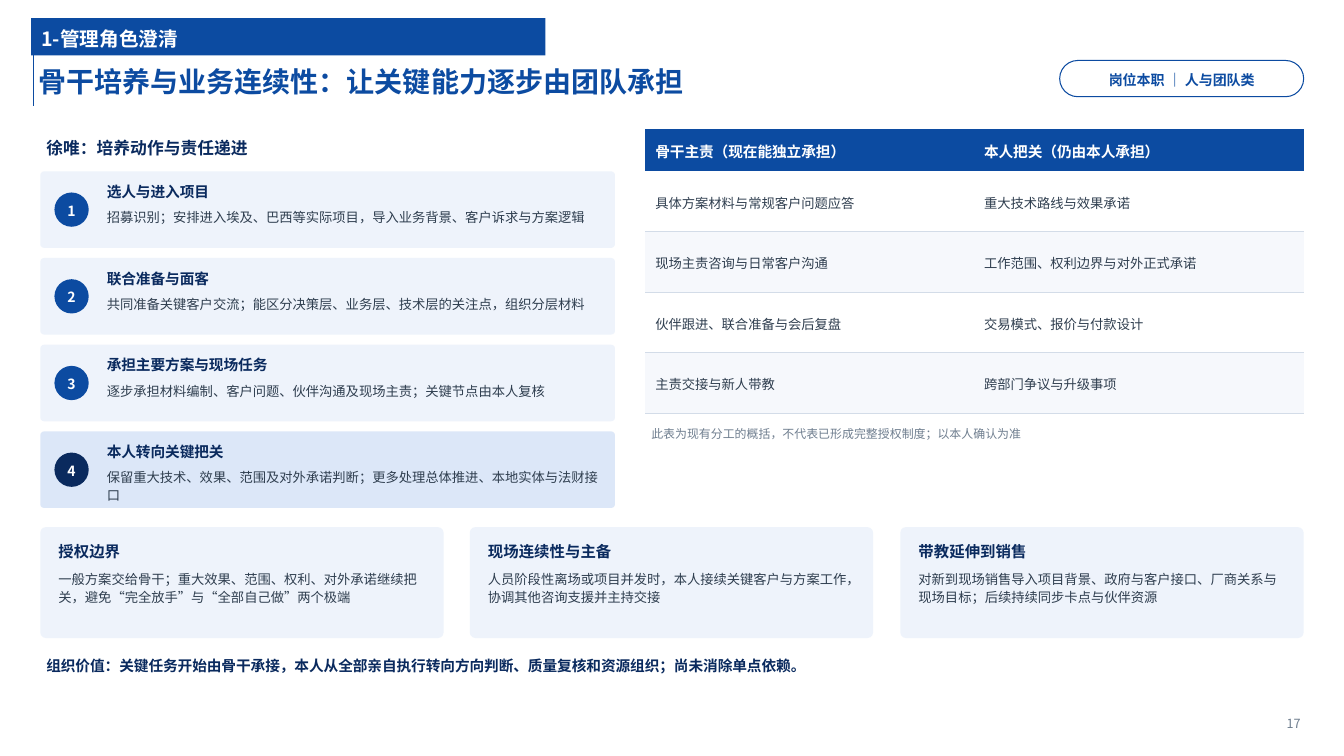
from lxml import etree
from pptx import Presentation
from pptx.dml.color import RGBColor
from pptx.enum.shapes import MSO_CONNECTOR, MSO_SHAPE
from pptx.enum.text import MSO_ANCHOR, MSO_AUTO_SIZE, PP_ALIGN
from pptx.oxml import parse_xml
from pptx.oxml.ns import nsdecls, qn
from pptx.util import Pt

RECT, ROUND, OVAL = MSO_SHAPE.RECTANGLE, MSO_SHAPE.ROUNDED_RECTANGLE, MSO_SHAPE.OVAL
TOP, MIDDLE = MSO_ANCHOR.TOP, MSO_ANCHOR.MIDDLE
LEFT, CENTER, RIGHT = PP_ALIGN.LEFT, PP_ALIGN.CENTER, PP_ALIGN.RIGHT
PX = 9144  # 100 px to the inch

THEME = {
    "font": "Noto Sans CJK SC",
    "blue": "0C4BA1", "navy": "0A2A5E", "white": "FFFFFF",
    "card": "EEF3FB", "active": "DCE7F8", "band": "F6F8FC", "rule": "D3DCE8",
    # text styles: size, colour, bold
    "title": (20, "0C4BA1", True),
    "section": (14, "FFFFFF", True),
    "tag": (10, "0C4BA1", True),
    "badge": (10, "FFFFFF", True),
    "heading": (12, "0A2A5E", True),
    "card_head": (11, "0A2A5E", True),
    "step_head": (10.5, "0A2A5E", True),
    "table_head": (10.5, "FFFFFF", True),
    "text": (9.5, "2F3E4F", False),
    "note": (8.5, "6F7E8F", False),
    "page": (9, "6F7E8F", False),
}


def write(tf, text, style, align=LEFT, anchor=None, insets=None, spacing=1.12, after=0):
    """Put one formatted paragraph into a text frame."""
    if insets:
        frame = dict(zip(("margin_left", "margin_top", "margin_right", "margin_bottom"),
                         (v * PX for v in insets)))
        frame.update(word_wrap=True, auto_size=MSO_AUTO_SIZE.NONE, vertical_anchor=anchor)
        for name, value in frame.items():
            setattr(tf, name, value)
    p = tf.paragraphs[0]
    for name, value in {"alignment": align, "line_spacing": spacing,
                        "space_before": Pt(0), "space_after": Pt(after)}.items():
        setattr(p, name, value)
    r = p.add_run()
    r.text = text
    size, color, bold = THEME[style]
    for name, value in {"name": THEME["font"], "size": Pt(size), "bold": bold}.items():
        setattr(r.font, name, value)
    r.font.color.rgb = RGBColor.from_string(color)
    ea = etree.SubElement(r.font._element, qn("a:ea"))
    ea.set("typeface", THEME["font"])


def add_box(kind, x, y, w, h, fill=None, text=None, style="text", align=LEFT,
            anchor=MIDDLE, insets=(6, 4, 6, 4)):
    """Add a text box (kind None) or a filled preset shape."""
    at = [v * PX for v in (x, y, w, h)]
    if kind is None:
        sp = s.shapes.add_textbox(*at)
    else:
        sp = s.shapes.add_shape(kind, *at)
        sp.shadow.inherit = False
        sp.fill.solid()
        sp.fill.fore_color.rgb = RGBColor.from_string(THEME[fill])
        sp.line.fill.background()
        if kind == ROUND:
            sp.adjustments[0] = 0.05
    if text:
        write(sp.text_frame, text, style, align, anchor, insets)
    return sp


prs = Presentation()
prs.slide_width, prs.slide_height = 1333 * PX, 750 * PX
s = prs.slides.add_slide(prs.slide_layouts[1])

# Title and section banner
title, section = s.placeholders
for sp, at in ((title, (33, 53, 1150, 52)), (section, (31, 18, 510, 37))):
    sp.left, sp.top, sp.width, sp.height = (v * PX for v in at)
section.fill.solid()
section.fill.fore_color.rgb = RGBColor.from_string(THEME["blue"])
pPr = section.text_frame.paragraphs[0]._p.get_or_add_pPr()
pPr.set("marL", "0")
pPr.set("indent", "0")
etree.SubElement(pPr, qn("a:buNone"))
write(title.text_frame, "骨干培养与业务连续性：让关键能力逐步由团队承担", "title",
      anchor=MIDDLE, insets=(5, 0, 5, 0))
write(section.text_frame, "1-管理角色澄清", "section", anchor=MIDDLE, insets=(10, 0, 5, 0))

# Rule beside the title
rule = s.shapes.add_connector(MSO_CONNECTOR.STRAIGHT, 33 * PX, 24 * PX, 33 * PX, 105 * PX)
rule.line.color.rgb = RGBColor.from_string(THEME["blue"])
rule.line.width = Pt(1)
etree.SubElement(rule._element.spPr, qn("a:effectLst"))

# Category tag and page number
tag = add_box(ROUND, 1051, 60, 242, 36, "white", "岗位本职 ｜ 人与团队类", "tag", CENTER,
              insets=(4, 0, 4, 0))
tag.adjustments[0] = 0.5
tag.line.color.rgb = RGBColor.from_string(THEME["blue"])
tag.line.width = Pt(0.75)
add_box(None, 1200, 702, 95, 30, text="17", style="page", align=RIGHT, insets=(0, 0, 5, 0))

# Development steps
add_box(None, 40, 128, 570, 34, text="徐唯：培养动作与责任递进", style="heading")
steps = [
    ("选人与进入项目", "招募识别；安排进入埃及、巴西等实际项目，导入业务背景、客户诉求与方案逻辑"),
    ("联合准备与面客", "共同准备关键客户交流；能区分决策层、业务层、技术层的关注点，组织分层材料"),
    ("承担主要方案与现场任务", "逐步承担材料编制、客户问题、伙伴沟通及现场主责；关键节点由本人复核"),
    ("本人转向关键把关", "保留重大技术、效果、范围及对外承诺判断；更多处理总体推进、本地实体与法财接口"),
]
for i, (head, detail) in enumerate(steps):
    y = 170 + 86 * i
    last = i == len(steps) - 1
    add_box(ROUND, 40, y, 570, 76, "active" if last else "card")
    add_box(OVAL, 54, y + 21, 34, 34, "navy" if last else "blue", str(i + 1), "badge",
            CENTER, insets=(0, 0, 0, 0))
    add_box(None, 100, y + 4, 500, 30, text=head, style="step_head")
    add_box(None, 100, y + 32, 500, 42, text=detail, anchor=TOP)

# Responsibility table
rows = [
    ("骨干主责（现在能独立承担）", "本人把关（仍由本人承担）"),
    ("具体方案材料与常规客户问题应答", "重大技术路线与效果承诺"),
    ("现场主责咨询与日常客户沟通", "工作范围、权利边界与对外正式承诺"),
    ("伙伴跟进、联合准备与会后复盘", "交易模式、报价与付款设计"),
    ("主责交接与新人带教", "跨部门争议与升级事项"),
]
table = s.shapes.add_table(len(rows), 2, 640 * PX, 128 * PX, 653 * PX, 282 * PX).table
table._tbl.tblPr[0].text = "{2D5ABB26-0587-4C30-8999-92F81FD0307C}"  # no style, no grid
table.horz_banding = False
table.columns[0].width, table.columns[1].width = 326 * PX, 327 * PX
for i, row in enumerate(rows):
    table.rows[i].height = (60 if i else 42) * PX
    fill = "blue" if i == 0 else "white" if i % 2 else "band"
    for j, text in enumerate(row):
        cell = table.cell(i, j)
        cell.vertical_anchor = MIDDLE
        cell.fill.solid()
        cell.fill.fore_color.rgb = RGBColor.from_string(THEME[fill])
        if i == 0:
            write(cell.text_frame, text, "table_head")
            continue
        write(cell.text_frame, text, "text", spacing=1.08, after=2)
        cell._tc.get_or_add_tcPr().insert(0, parse_xml(
            f'<a:lnB {nsdecls("a")} w="9525"><a:solidFill>'
            f'<a:srgbClr val="{THEME["rule"]}"/></a:solidFill></a:lnB>'))
add_box(None, 640, 414, 653, 30, style="note",
        text="此表为现有分工的概括，不代表已形成完整授权制度；以本人确认为准")

# Supporting cards, spread evenly across the content width
cards = [
    ("授权边界", "一般方案交给骨干；重大效果、范围、权利、对外承诺继续把关，避免“完全放手”与“全部自己做”两个极端"),
    ("现场连续性与主备", "人员阶段性离场或项目并发时，本人接续关键客户与方案工作，协调其他咨询支援并主持交接"),
    ("带教延伸到销售", "对新到现场销售导入项目背景、政府与客户接口、厂商关系与现场目标；后续持续同步卡点与伙伴资源"),
]
for i, (head, detail) in enumerate(cards):
    x = 40 + 853 * i // 2
    add_box(ROUND, x, 523, 400, 110, "card")
    add_box(None, x + 12, 531, 376, 30, text=head, style="card_head")
    add_box(None, x + 12, 561, 376, 70, text=detail, anchor=TOP)

# Closing statement
add_box(None, 40, 641, 1253, 36, style="step_head",
        text="组织价值：关键任务开始由骨干承接，本人从全部亲自执行转向方向判断、质量复核和资源组织；尚未消除单点依赖。")

prs.save("out.pptx")
